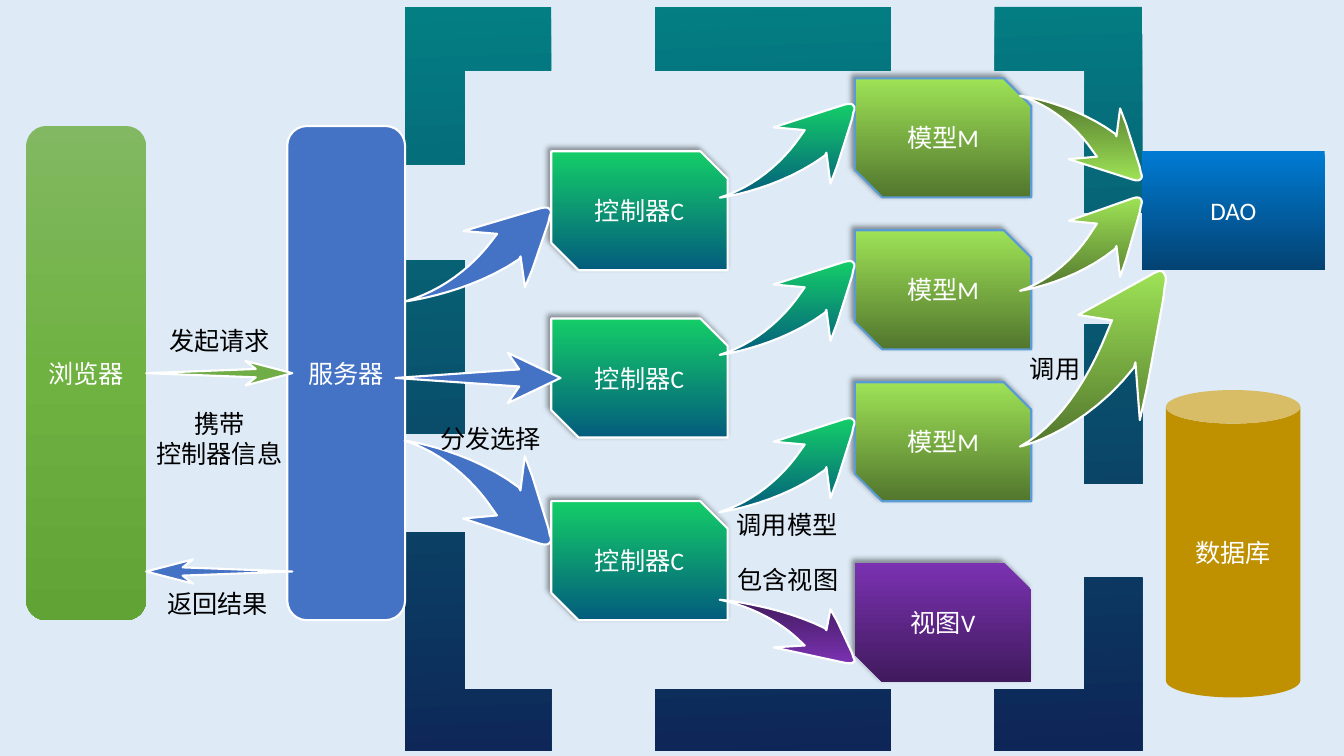
from lxml import etree
from pptx import Presentation
from pptx.dml.color import RGBColor
from pptx.enum.shapes import MSO_SHAPE
from pptx.enum.text import MSO_ANCHOR, MSO_AUTO_SIZE, PP_ALIGN
from pptx.oxml.ns import qn
from pptx.util import Pt

ROUND, CARD, RECT, CAN = (MSO_SHAPE.ROUNDED_RECTANGLE, MSO_SHAPE.SNIP_2_DIAG_RECTANGLE,
                          MSO_SHAPE.RECTANGLE, MSO_SHAPE.CAN)
LEFT, CENTER = PP_ALIGN.LEFT, PP_ALIGN.CENTER
MIDDLE, TOP = MSO_ANCHOR.MIDDLE, MSO_ANCHOR.TOP
FIT, NO_FIT = MSO_AUTO_SIZE.SHAPE_TO_FIT_TEXT, MSO_AUTO_SIZE.NONE

# Fills: one colour is solid, several run from top to bottom
WHITE, BLACK, BLUE = "FFFFFF", "000000", ["4472C4"]
BACKDROP = "DEEBF7"
FRAME = ["037E83", "0E2557"]
BROWSER = ["81B861", "6FB242", "62A336"]
CONTROLLER = ["14CD68", "035C7D"]
MODEL = ["9EE256", "52762D"]
VIEW = ["7B32B2", "401A5D"]
DAO = ["007BD3", "034373"]

# Dashed frame: corners as outer x, y, inner x, y, end x, y; bars as left, top, right, bottom
FRAME_CORNERS = [
    (289.4, 5, 331.9, 50.4, 393.8, 117.4), (815.8, 5, 774.7, 50.4, 710.6, 152),
    (289.4, 536.4, 331.9, 492.5, 393.8, 380.2), (815.8, 536.4, 774.7, 492.5, 710.6, 412.6)]
FRAME_BARS = [(468, 5, 636.5, 50.4), (468, 492.5, 636.5, 536.4),
              (289.4, 185.8, 331.9, 309.6), (774.7, 231.8, 815.8, 345.6)]

# Cards
CARD_SIZE = (126, 85)
CONTROLLER_LEFT, MODEL_LEFT = 393.8, 610.6
CONTROLLER_TOPS = [108, 227.5, 358]
MODEL_TOPS = [56 + 108.5 * i for i in range(3)]
CARDS = ([("控制器C", CONTROLLER_LEFT, top, CONTROLLER, WHITE) for top in CONTROLLER_TOPS]
         + [("模型M", MODEL_LEFT, top, MODEL, "5B9BD5") for top in MODEL_TOPS]
         + [("视图V", MODEL_LEFT, 401.8, VIEW, None)])

# Other boxes: text, preset, (left, top, width, height), fill, line
BOXES = [
    ("浏览器", ROUND, (18.7, 90, 85.7, 353), BROWSER, None),
    ("服务器", ROUND, (205.2, 90, 84.2, 353), BLUE, WHITE),
    ("数据库", CAN, (832.8, 278.6, 96, 219.6), ["BF9000"], None),
    ("DAO", RECT, (815.8, 108, 130.3, 85), DAO, None)]

# Curved arrows: (left, top, width, height), fill, pointing down?
CURVED_ARROWS = (
    [((289.4, 148.3, 104.4, 67), BLUE, False), ((289, 314.8, 104.8, 74.2), BLUE, True)]
    + [((514.1, 74.2 + 112.3 * i, 96.5, 67), CONTROLLER, False) for i in range(3)]
    + [((514.1, 428.4, 96.5, 45.4), VIEW, True),
       ((728.6, 141.1, 87.2, 66.6), MODEL, False),
       ((728.6, 68.4, 87.2, 60.5), MODEL, True),
       ((728.6, 193.7, 104.4, 125.3), MODEL, False)])

# Straight arrows: (left, top, width, height), fill, pointing left?
STRAIGHT_ARROWS = [((104.4, 257.8, 104.4, 17.5), ["70AD47"], False),
                   ((282.5, 252, 117.9, 36), BLUE, False),
                   ((104.4, 399.6, 104.4, 17.3), BLUE, True)]

# Labels: lines, (left, top, width, height), alignment, wrap
LABELS = [
    (["发起请求"], (113.8, 229, 86.4, 29), LEFT, False),
    (["携带", "控制器信息"], (104.4, 288, 104.4, 51), CENTER, False),
    (["分发选择"], (307.4, 298.8, 86.4, 29), LEFT, False),
    (["调用模型"], (519.1, 360, 86.4, 29), LEFT, False),
    (["包含视图"], (519.8, 399.6, 86.4, 29), LEFT, False),
    (["调用"], (728.6, 249.1, 50.4, 29), LEFT, False),
    (["返回结果"], (112.3, 416.9, 89.3, 29), LEFT, True)]

# Arrow outlines within a unit square; a six-number step is a curve
STRAIGHT_OUTLINE = [(.68, 0), (1, .5), (.68, 1), (.75, .67), (0, .5), (.75, .33)]
CURVED_OUTLINE = [
    (.95, 0), (.97, 0, .98, 0, .99, .02), (1, .03, 1, .06, .99, .09),
    (.98, .16), (.87, .66), (.82, .85), (.79, .52), (.78, .55),
    (.46, .89, .06, .99, 0, 1), (.25, .89, .46, .63, .59, .36),
    (.63, .28), (.4, .25), (.92, .01)]
CURVE_STEPS = 12


def rgb(color):
    """Turn a hex string into a colour."""
    return RGBColor.from_string(color)


def flatten(outline):
    """Replace the curved steps of an outline by short straight ones."""
    points = []
    for step in outline:
        if len(step) == 2:
            points.append(step)
            continue
        anchors = [points[-1], step[:2], step[2:4], step[4:]]
        for i in range(1, CURVE_STEPS + 1):
            t = i / CURVE_STEPS
            weights = ((1 - t) ** 3, 3 * t * (1 - t) ** 2, 3 * t * t * (1 - t), t ** 3)
            points.append(tuple(sum(w * a[axis] for w, a in zip(weights, anchors))
                                for axis in (0, 1)))
    return points


def place(outline, box, flip_x=False, flip_y=False):
    """Stretch a unit outline over a box, mirrored if asked."""
    left, top, width, height = box
    return [(left + width * (1 - x if flip_x else x), top + height * (1 - y if flip_y else y))
            for x, y in flatten(outline)]


def paint(shape, colors, line=None, angle=90):
    """Give a shape its fill and line, and no shadow."""
    shape.shadow.inherit = False
    if len(colors) == 1:
        shape.fill.solid()
        shape.fill.fore_color.rgb = rgb(colors[0])
    else:
        shape.fill.background()
        properties = shape._element.spPr
        gradient = etree.Element(qn("a:gradFill"), rotWithShape="1")
        stops = etree.SubElement(gradient, qn("a:gsLst"))
        for i, color in enumerate(colors):
            stop = etree.SubElement(stops, qn("a:gs"), pos=str(100000 * i // (len(colors) - 1)))
            etree.SubElement(stop, qn("a:srgbClr"), val=color)
        etree.SubElement(gradient, qn("a:lin"), ang=str(angle * 60000), scaled="0")
        properties.replace(properties.find(qn("a:noFill")), gradient)
    if line:
        shape.line.color.rgb = rgb(line)
        shape.line.width = Pt(1.5)
    else:
        shape.line.fill.background()


def cast_shadow(shape):
    """Add the soft shadow to the upper left of a card."""
    effects = shape._element.spPr.find(qn("a:effectLst"))
    shadow = etree.SubElement(effects, qn("a:outerShdw"), blurRad=str(Pt(4)), dist=str(Pt(3)),
                              dir=str(225 * 60000), algn="br", rotWithShape="0")
    color = etree.SubElement(shadow, qn("a:srgbClr"), val="000000")
    etree.SubElement(color, qn("a:alpha"), val="40000")


def write(shape, lines, color, align, **frame_format):
    """Write lines of text, one paragraph each."""
    frame = shape.text_frame
    for name, value in frame_format.items():
        setattr(frame, name, value)
    frame.text = "\n".join(lines)
    for paragraph in frame.paragraphs:
        paragraph.alignment = align
        font = paragraph.runs[0].font
        for name, value in {"size": Pt(18), "name": "Calibri"}.items():
            setattr(font, name, value)
        font.color.rgb = rgb(color)


def add_box(shapes, text, preset, box, colors, line):
    """Add a preset shape with centred white text."""
    shape = shapes.add_shape(preset, *map(Pt, box))
    paint(shape, colors, line)
    write(shape, [text], WHITE, CENTER, vertical_anchor=MIDDLE, word_wrap=True, auto_size=NO_FIT)
    return shape


def add_outline(shapes, contours):
    """Add one freeform made of closed contours."""
    contours = [[(Pt(x), Pt(y)) for x, y in contour] for contour in contours]
    builder = shapes.build_freeform(*contours[0][0])
    for i, contour in enumerate(contours):
        if i:
            builder.move_to(*contour[0])
        builder.add_line_segments(contour[1:], close=True)
    return builder.convert_to_shape()


deck = Presentation()
deck.slide_width, deck.slide_height = Pt(960), Pt(540)
slide = deck.slides.add_slide(deck.slide_layouts[6])
slide.background.fill.solid()
slide.background.fill.fore_color.rgb = rgb(BACKDROP)
shapes = slide.shapes

corners = [[(ox, oy), (ex, oy), (ex, iy), (ix, iy), (ix, ey), (ox, ey)]
           for ox, oy, ix, iy, ex, ey in FRAME_CORNERS]
bars = [[(l, t), (r, t), (r, b), (l, b)] for l, t, r, b in FRAME_BARS]
paint(add_outline(shapes, corners + bars), FRAME, angle=88)

for box_content in BOXES:
    add_box(shapes, *box_content)
for text, left, top, colors, line in CARDS:
    card = add_box(shapes, text, CARD, (left, top, *CARD_SIZE), colors, line)
    card.adjustments[0], card.adjustments[1] = 0, 0.23
    cast_shadow(card)

for box, colors, down in CURVED_ARROWS:
    arrow = add_outline(shapes, [place(CURVED_OUTLINE, box, flip_y=down)])
    paint(arrow, colors[::-1] if down else colors, WHITE)
for box, colors, leftward in STRAIGHT_ARROWS:
    paint(add_outline(shapes, [place(STRAIGHT_OUTLINE, box, flip_x=leftward)]), colors, WHITE)

for lines, box, align, wrap in LABELS:
    label = shapes.add_textbox(*map(Pt, box))
    write(label, lines, BLACK, align, vertical_anchor=TOP, word_wrap=wrap, auto_size=FIT)

deck.save("out.pptx")
